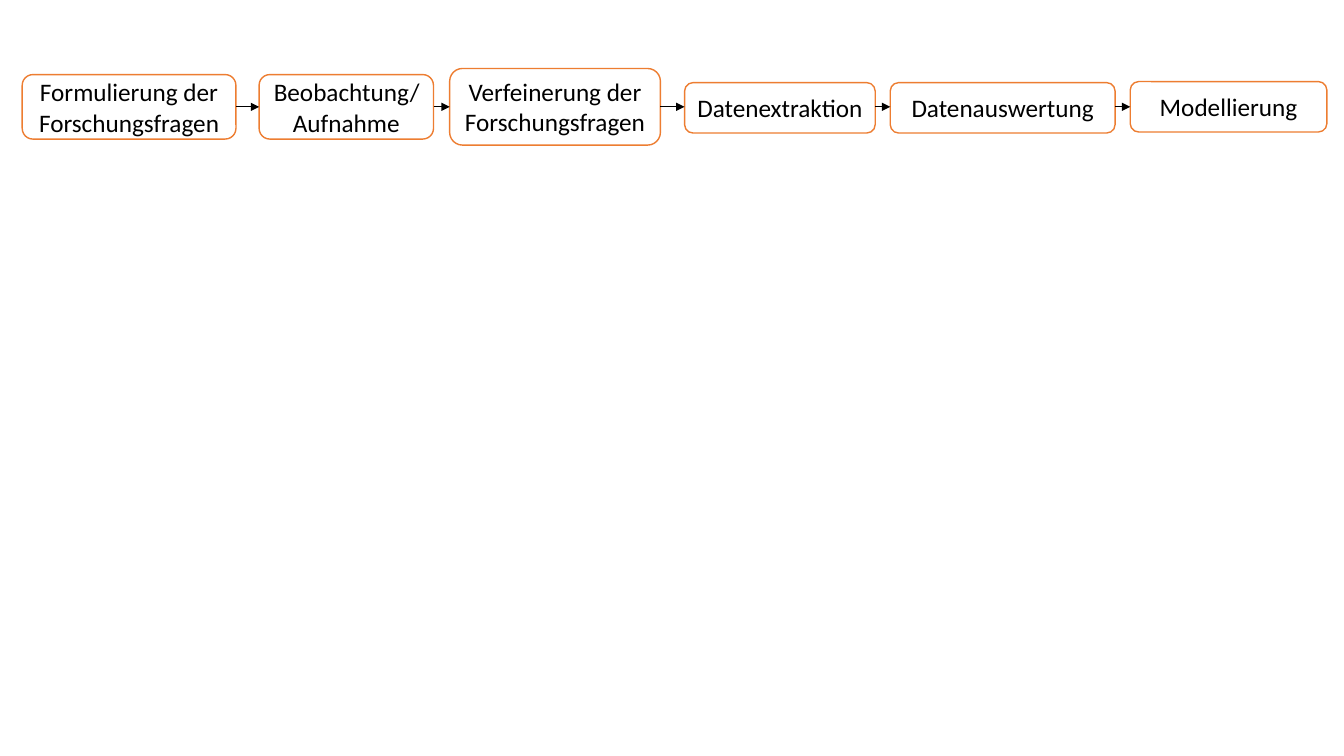
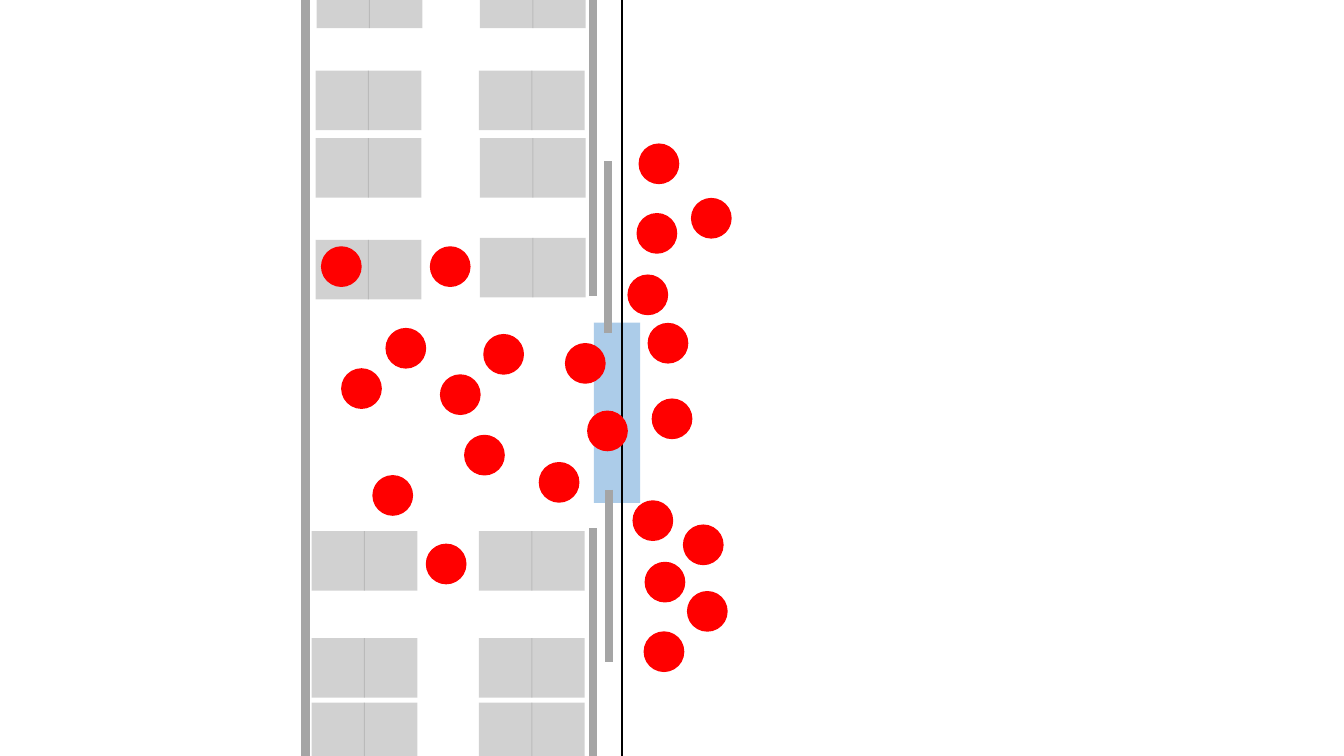
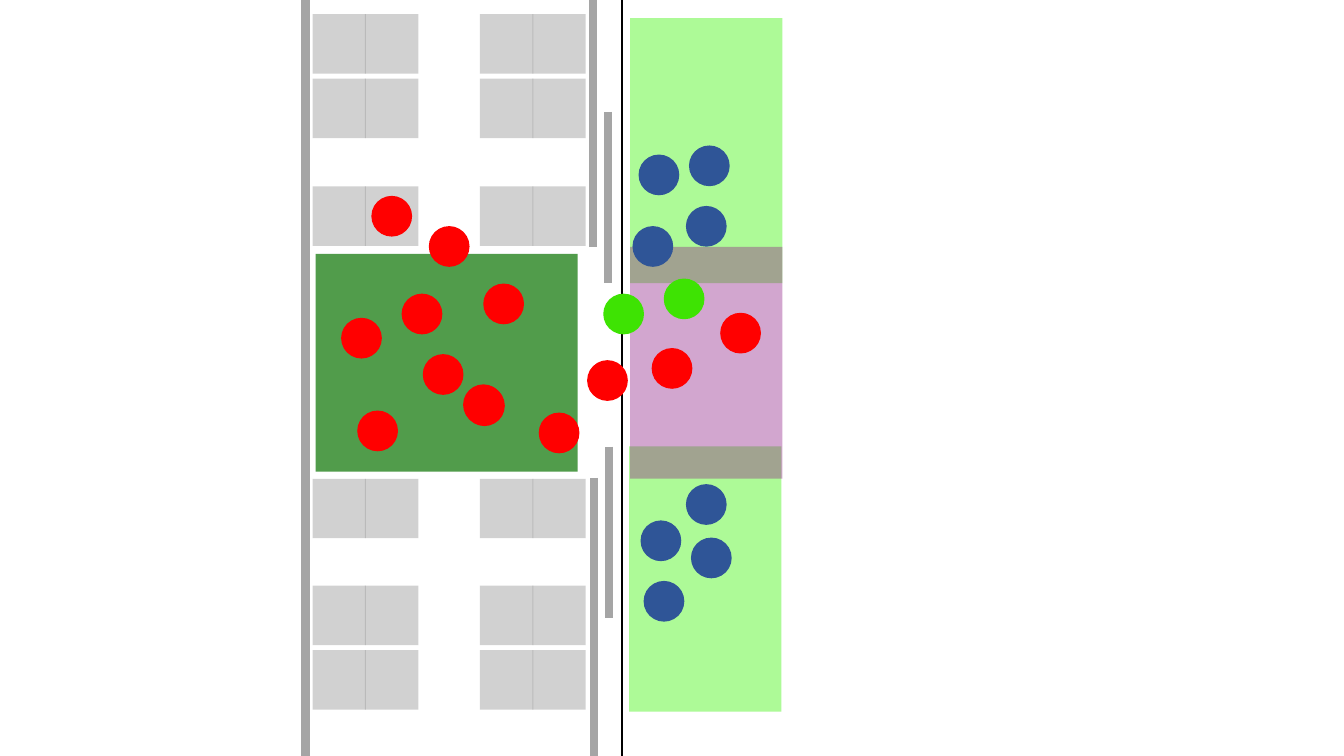
from dataclasses import dataclass
from itertools import pairwise

from lxml.etree import SubElement
from pptx import Presentation
from pptx.dml.color import RGBColor
from pptx.enum.shapes import MSO_CONNECTOR, MSO_SHAPE
from pptx.enum.text import MSO_ANCHOR, PP_ALIGN
from pptx.oxml.ns import qn
from pptx.util import Inches, Pt


@dataclass(frozen=True)
class Theme:
    font: str = "Calibri"
    size: int = 18
    white: str = "FFFFFF"
    black: str = "000000"
    orange: str = "ED7D31"
    gray: str = "A5A5A5"
    red: str = "FF0000"
    blue: str = "2F5597"
    green: str = "3EE303"
    door: str = "5B9BD5"
    lime: str = "41F410"
    forest: str = "0A7402"
    purple: str = "8F2187"
    thin: float = 0.5
    edge: float = 1
    track: float = 1.5
    wall: float = 6


theme = Theme()
DOT = 0.39
SEAT_W, SEAT_H, SEAT_STEP = 0.53, 0.59, 0.52


def add_block(slide, kind, box, fill, edge=None, alpha=None):
    """Add a filled shape; alpha is its opacity in percent."""
    shape = slide.shapes.add_shape(kind, *map(Inches, box))
    shape.shadow.inherit = False
    shape.fill.solid()
    shape.fill.fore_color.rgb = RGBColor.from_string(fill)
    if alpha:
        color = next(shape._element.iter(qn("a:srgbClr")))
        SubElement(color, qn("a:alpha"), val=str(alpha * 1000))
    if edge:
        shape.line.color.rgb = RGBColor.from_string(edge)
        shape.line.width = Pt(theme.edge)
    else:
        shape.line.fill.background()
    return shape


def add_rule(slide, ends, color, width, arrow=False):
    """Add a straight line, with an arrowhead at its end if wanted."""
    rule = slide.shapes.add_connector(MSO_CONNECTOR.STRAIGHT, *map(Inches, ends))
    rule.line.color.rgb = RGBColor.from_string(color)
    rule.line.width = Pt(width)
    if arrow:
        SubElement(rule.line._get_or_add_ln(), qn("a:tailEnd"), type="triangle")
    SubElement(rule._element.spPr, qn("a:effectLst"))


deck = Presentation()
deck.slide_width, deck.slide_height = Inches(13.33), Inches(7.5)
blank = deck.slide_layouts[6]

# Slide 1: research process
slide = deck.slides.add_slide(blank)
steps = [
    ("Formulierung der Forschungsfragen", (0.22, 0.74, 2.12, 0.64)),
    ("Beobachtung/Aufnahme", (2.57, 0.74, 1.73, 0.64)),
    ("Verfeinerung der Forschungsfragen", (4.46, 0.68, 2.09, 0.76)),
    ("Datenextraktion", (6.79, 0.82, 1.89, 0.5)),
    ("Datenauswertung", (8.83, 0.82, 2.23, 0.5)),
    ("Modellierung", (11.21, 0.81, 1.95, 0.5)),
]
for text, box in steps:
    shape = add_block(slide, MSO_SHAPE.ROUNDED_RECTANGLE, box, theme.white, theme.orange)
    frame = shape.text_frame
    frame.text = text
    frame.word_wrap = True
    frame.vertical_anchor = MSO_ANCHOR.MIDDLE
    para = frame.paragraphs[0]
    para.alignment = PP_ALIGN.CENTER
    font = para.runs[0].font
    font.name, font.size = theme.font, Pt(theme.size)
    font.color.rgb = RGBColor.from_string(theme.black)

for (_, box), (_, after) in pairwise(steps):
    ends = (box[0] + box[2], 1.06, after[0], 1.06)
    add_rule(slide, ends, theme.black, theme.thin, arrow=True)

# Slides 2 and 3: train carriage on the left, platform on the right
observed = {
    "zones": [((5.89, 3.2, 0.46, 1.79), theme.door, 50)],
    "pairs": [
        (3.14, -0.31), (4.76, -0.31), (3.13, 0.7), (4.75, 0.7),
        (3.13, 1.37), (4.76, 1.37), (3.13, 2.38), (4.76, 2.36),
        (3.09, 5.27), (4.75, 5.27), (3.09, 6.33), (4.75, 6.33),
        (3.09, 6.97), (4.75, 6.97),
    ],
    "track": (6.17, 0, 7.5),
    "walls": [
        (3.03, 0, 7.57), (5.88, -0.12, 2.94), (5.88, 5.24, 7.89),
        (6.03, 1.6, 3.3), (6.04, 4.86, 6.57),
    ],
    "people": {
        theme.red: [
            (3.19, 2.45), (4.27, 2.45), (3.83, 3.26), (3.39, 3.66),
            (4.8, 3.32), (4.37, 3.72), (4.61, 4.32), (3.7, 4.72),
            (4.23, 5.4), (5.35, 4.59), (5.61, 3.41), (5.83, 4.08),
            (6.34, 1.43), (6.86, 1.97), (6.32, 2.12), (6.23, 2.73),
            (6.43, 3.21), (6.47, 3.96), (6.28, 4.97), (6.78, 5.21),
            (6.4, 5.58), (6.82, 5.87), (6.39, 6.27),
        ],
    },
}
grouped = {
    "zones": [
        ((6.25, 0.18, 1.51, 2.63), theme.lime, 43),
        ((6.24, 4.43, 1.51, 2.63), theme.lime, 43),
        ((3.13, 2.52, 2.6, 2.16), theme.forest, 71),
        ((6.25, 2.45, 1.51, 2.3), theme.purple, 40),
    ],
    "pairs": [
        (x, y) for y in (0.14, 0.78, 1.85, 4.75, 5.81, 6.45) for x in (3.1, 4.76)
    ],
    "track": (6.17, -0.49, 7.79),
    "walls": [
        (3.03, -0.82, 7.78), (5.88, -0.62, 2.45), (5.89, 4.74, 8.3),
        (6.03, 1.11, 2.81), (6.04, 4.43, 6.13),
    ],
    "people": {
        theme.red: [
            (3.69, 1.95), (4.26, 2.25), (3.39, 3.16), (3.99, 2.92),
            (4.8, 2.82), (4.2, 3.52), (4.61, 3.83), (4.6, 3.82),
            (3.55, 4.08), (5.35, 4.1), (5.83, 3.58), (6.47, 3.46),
            (7.15, 3.11),
        ],
        theme.blue: [
            (6.34, 1.54), (6.84, 1.45), (6.81, 2.05), (6.28, 2.25),
            (6.81, 4.81), (6.36, 5.17), (6.86, 5.34), (6.39, 5.77),
        ],
        theme.green: [(6.59, 2.77), (5.99, 2.92)],
    },
}

for scene in (observed, grouped):
    slide = deck.slides.add_slide(blank)

    # Marked areas
    for box, color, alpha in scene["zones"]:
        add_block(slide, MSO_SHAPE.RECTANGLE, box, color, alpha=alpha)

    # Seats, two side by side
    for left, top in scene["pairs"]:
        for x in (left, left + SEAT_STEP):
            box = (x, top, SEAT_W, SEAT_H)
            add_block(slide, MSO_SHAPE.RECTANGLE, box, theme.gray, alpha=50)

    # Platform edge, walls and doors
    x, top, end = scene["track"]
    add_rule(slide, (x, top, x, end), theme.black, theme.track)
    for x, top, end in scene["walls"]:
        add_rule(slide, (x, top, x, end), theme.gray, theme.wall)

    # People
    for color, spots in scene["people"].items():
        for x, y in spots:
            add_block(slide, MSO_SHAPE.OVAL, (x, y, DOT, DOT), color, color)

deck.save("out.pptx")
